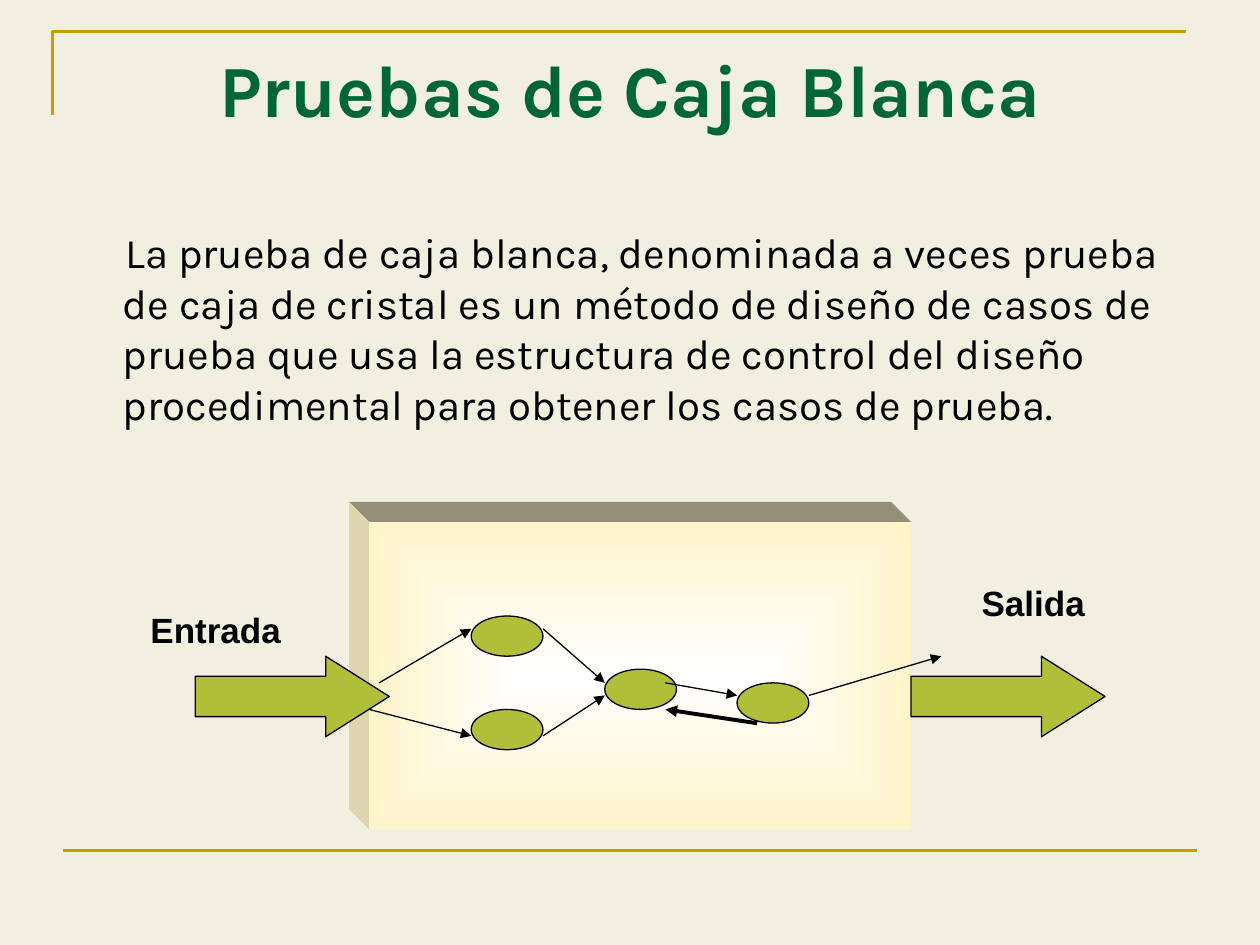
from lxml import etree
from pptx import Presentation
from pptx.dml.color import RGBColor
from pptx.enum.shapes import MSO_CONNECTOR, MSO_SHAPE
from pptx.enum.text import MSO_ANCHOR, MSO_AUTO_SIZE, PP_ALIGN
from pptx.oxml.ns import qn
from pptx.util import Pt

STRAIGHT = MSO_CONNECTOR.STRAIGHT
RECT, ARROW, OVAL = MSO_SHAPE.RECTANGLE, MSO_SHAPE.RIGHT_ARROW, MSO_SHAPE.OVAL
TOP, NO_FIT = MSO_ANCHOR.TOP, MSO_AUTO_SIZE.NONE
CENTER, LEFT = PP_ALIGN.CENTER, PP_ALIGN.LEFT

COLORS = {
    "background": "F0EFE0", "gold": "CC9900", "title": "006633",
    "black": "000000", "green": "AFBF39", "center": "FFFFFF",
    "cream": "FEF4CA", "box_top": "958F77", "box_side": "DDD5B0",
}
C = {name: RGBColor.from_string(value) for name, value in COLORS.items()}


def write(shape, text, font, size, color, bold, align):
    tf = shape.text_frame
    tf.word_wrap = True
    tf.auto_size = NO_FIT
    tf.vertical_anchor = TOP
    p = tf.paragraphs[0]
    p.alignment = align
    r = p.add_run()
    r.text = text
    r.font.name = font
    r.font.size = Pt(size)
    r.font.bold = bold
    r.font.color.rgb = C[color]
    return p


def add_line(x1, y1, x2, y2, color, width, arrow):
    line = s.shapes.add_connector(STRAIGHT, Pt(x1), Pt(y1), Pt(x2), Pt(y2))
    line.line.color.rgb = C[color]
    line.line.width = Pt(width)
    if arrow:
        ln = line.line._get_or_add_ln()
        etree.SubElement(ln, qn("a:tailEnd"), type="triangle")
    etree.SubElement(line._element.spPr, qn("a:effectLst"))


prs = Presentation()
prs.slide_width, prs.slide_height = Pt(720), Pt(540)
s = prs.slides.add_slide(prs.slide_layouts[1])
s.background.fill.solid()
s.background.fill.fore_color.rgb = C["background"]

fb = s.shapes.build_freeform(Pt(30), Pt(66))
fb.add_line_segments([(Pt(30), Pt(18)), (Pt(678), Pt(18))], close=False)
corner = fb.convert_to_shape()
corner.shadow.inherit = False
corner.fill.background()
corner.line.color.rgb = C["gold"]
corner.line.width = Pt(1.5)
add_line(36, 486, 684, 486, "gold", 1.5, False)

title, body = s.placeholders
title.left, title.top, title.width, title.height = Pt(36), Pt(21.6), Pt(648), Pt(90)
write(title, "Pruebas de Caja Blanca", "Karla", 42, "title", True, CENTER)

body.left, body.top, body.width, body.height = Pt(36), Pt(126), Pt(648), Pt(172)
p = write(
    body,
    "La prueba de caja blanca, denominada a veces prueba de caja de cristal "
    "es un método de diseño de casos de prueba que usa la estructura de "
    "control del diseño procedimental para obtener los casos de prueba.",
    "Karla", 24, "black", False, LEFT,
)
pPr = p._p.get_or_add_pPr()
pPr.set("marL", str(Pt(27)))
pPr.set("indent", str(Pt(1.5)))
etree.SubElement(pPr, qn("a:buNone"))

x, y, w, h, depth = 211, 298.3, 309.6, 175.7, 11.5
faces = [
    ("box_top", [(x, y), (x - depth, y - depth), (x + w - depth, y - depth), (x + w, y)]),
    ("box_side", [(x, y), (x - depth, y - depth), (x - depth, y + h - depth), (x, y + h)]),
]
for color, points in faces:
    (x0, y0), *rest = [(Pt(px), Pt(py)) for px, py in points]
    fb = s.shapes.build_freeform(x0, y0)
    fb.add_line_segments(rest)
    face = fb.convert_to_shape()
    face.shadow.inherit = False
    face.fill.solid()
    face.fill.fore_color.rgb = C[color]
    face.line.fill.background()

box = s.shapes.add_shape(RECT, Pt(x), Pt(y), Pt(w), Pt(h))
box.shadow.inherit = False
box.line.fill.background()
box.fill.gradient()
for stop, color, position in zip(box.fill.gradient_stops, ("center", "cream"), (0, 1)):
    stop.color.rgb = C[color]
    stop.position = position
grad = box._element.spPr.find(qn("a:gradFill"))
grad.remove(grad.find(qn("a:lin")))
gradient_path = etree.SubElement(grad, qn("a:path"), path="rect")
etree.SubElement(gradient_path, qn("a:fillToRect"), l="50000", t="50000", r="50000", b="50000")

shapes = [(ARROW, left, 375, 110.9, 46) for left in (111.6, 520.6)]
shapes += [
    (OVAL, left, top, 41, 23)
    for left, top in ((269.3, 352), (269.3, 405.4), (345.6, 382.4), (421.2, 390.2))
]
for kind, left, top, width, height in shapes:
    shape = s.shapes.add_shape(kind, Pt(left), Pt(top), Pt(width), Pt(height))
    shape.shadow.inherit = False
    shape.fill.solid()
    shape.fill.fore_color.rgb = C["green"]
    shape.line.color.rgb = C["black"]
    shape.line.width = Pt(0.75)
    if kind == ARROW:
        shape.adjustments[0] = 0.5
        shape.adjustments[1] = 0.79

flows = [
    (216.7, 390.2, 269.3, 359.3, 0.75),
    (211, 405.4, 269.3, 420.5, 0.75),
    (310.3, 359.3, 345.6, 390.2, 0.75),
    (310.3, 420.5, 345.6, 397.4, 0.75),
    (380.2, 390.2, 421.2, 397.4, 0.75),
    (432.7, 413.3, 380.2, 405.4, 2.25),
    (462.2, 397.4, 537.8, 375, 0.75),
]
for x1, y1, x2, y2, width in flows:
    add_line(x1, y1, x2, y2, "black", width, True)

for text, left, top in (("Entrada ", 70.6, 344.2), ("Salida ", 537.8, 329)):
    label = s.shapes.add_textbox(Pt(left), Pt(top), Pt(110.9), Pt(31.5))
    write(label, text, "Arial", 20, "black", True, CENTER)

prs.save("out.pptx")
